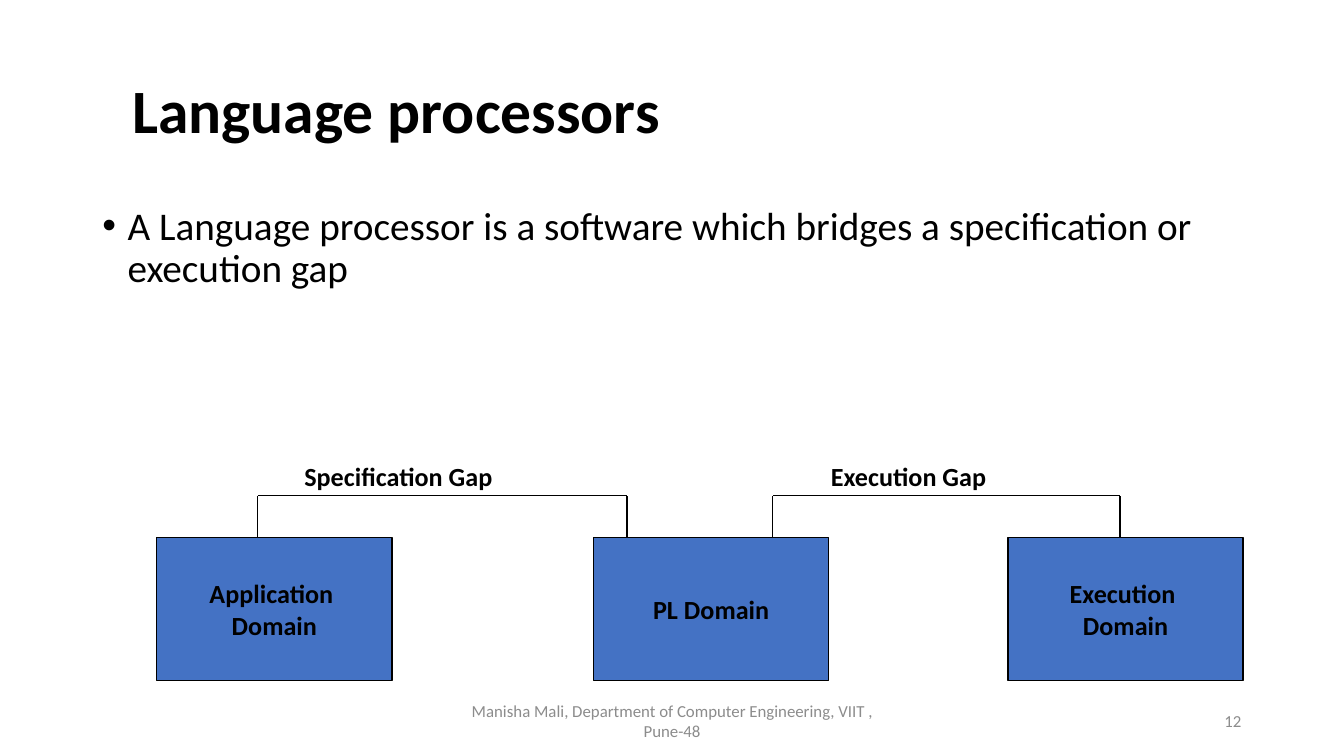
from lxml.etree import SubElement
from pptx import Presentation
from pptx.dml.color import RGBColor
from pptx.enum.shapes import MSO_CONNECTOR as CONNECTOR, MSO_SHAPE as SHAPE
from pptx.enum.text import MSO_ANCHOR as ANCHOR, MSO_AUTO_SIZE as AUTO_SIZE, PP_ALIGN as ALIGN
from pptx.oxml.ns import qn
from pptx.util import Pt

COLORS = {"text": "000000", "footer": "8C8C8C", "box": "4472C4", "line": "000000"}


def write_text(shape, text, size=14, bold=False, color="text", align=ALIGN.LEFT,
               anchor=ANCHOR.TOP, wrap=True, spacing=1.0, before=0, insets=(5.4, 2.7)):
    frame = shape.text_frame
    frame.auto_size = AUTO_SIZE.NONE
    frame.word_wrap = wrap
    frame.vertical_anchor = anchor
    frame.margin_left = frame.margin_right = Pt(insets[0])
    frame.margin_top = frame.margin_bottom = Pt(insets[1])
    frame.text = text
    for paragraph in frame.paragraphs:
        paragraph.alignment = align
        paragraph.line_spacing = spacing
        paragraph.space_before = Pt(before)
        for run in paragraph.runs:
            run.font.name = "Calibri"
            run.font.size = Pt(size)
            run.font.bold = bold
            run.font.color.rgb = RGBColor.from_string(COLORS[color])


def add_line(x1, y1, x2, y2):
    line = slide.shapes.add_connector(CONNECTOR.STRAIGHT, Pt(x1), Pt(y1), Pt(x2), Pt(y2))
    line.line.color.rgb = RGBColor.from_string(COLORS["line"])
    line.line.width = Pt(0.75)
    SubElement(line._element.spPr, qn("a:effectLst"))


presentation = Presentation()
presentation.slide_width, presentation.slide_height = Pt(720), Pt(405)
slide = presentation.slides.add_slide(presentation.slide_layouts[5])

title = slide.shapes.title
title.left, title.top, title.width, title.height = Pt(65.5), Pt(21.6), Pt(605), Pt(78.3)
write_text(title, "Language processors", size=33, bold=True, anchor=ANCHOR.MIDDLE, spacing=0.9)

body = slide.shapes.add_textbox(Pt(49.5), Pt(108), Pt(621), Pt(257))
write_text(body, "A Language processor is a software which bridges a specification or execution gap",
           size=21, spacing=0.9, before=7.5)
properties = body.text_frame.paragraphs[0]._p.get_or_add_pPr()
properties.set("marL", str(Pt(13.5)))
properties.set("indent", str(-Pt(13.5)))
SubElement(properties, qn("a:buFont")).set("typeface", "Arial")
SubElement(properties, qn("a:buChar")).set("char", "•")

for left, width, text, align in [
    (238.5, 243, "Manisha Mali, Department of Computer Engineering, VIIT , Pune-48", ALIGN.CENTER),
    (508.5, 162, "12", ALIGN.RIGHT),
]:
    footer = slide.shapes.add_textbox(Pt(left), Pt(375.3), Pt(width), Pt(21.6))
    write_text(footer, text, size=9, color="footer", align=align, anchor=ANCHOR.MIDDLE)

box_top, bracket_top = 288, 265.5
for left, text in [(84, "Application \nDomain"), (318, "PL Domain"), (540, "Execution \nDomain")]:
    box = slide.shapes.add_shape(SHAPE.RECTANGLE, Pt(left), Pt(box_top), Pt(126), Pt(76.5))
    box.shadow.inherit = False
    box.fill.solid()
    box.fill.fore_color.rgb = RGBColor.from_string(COLORS["box"])
    box.line.color.rgb = RGBColor.from_string(COLORS["line"])
    box.line.width = Pt(0.75)
    write_text(box, text, bold=True, align=ALIGN.CENTER, anchor=ANCHOR.MIDDLE,
               wrap=False, insets=(7.2, 3.6))

for start, end, label_left, label_width, text in [
    (138, 336, 156, 116, "Specification Gap"),
    (414, 600, 438, 98.5, "Execution Gap"),
]:
    for x in (start, end):
        add_line(x, box_top, x, bracket_top)
    add_line(start, bracket_top, end, bracket_top)
    label = slide.shapes.add_textbox(Pt(label_left), Pt(243), Pt(label_width), Pt(24.2))
    write_text(label, text, bold=True, wrap=False, insets=(7.2, 3.6))

presentation.save("out.pptx")
